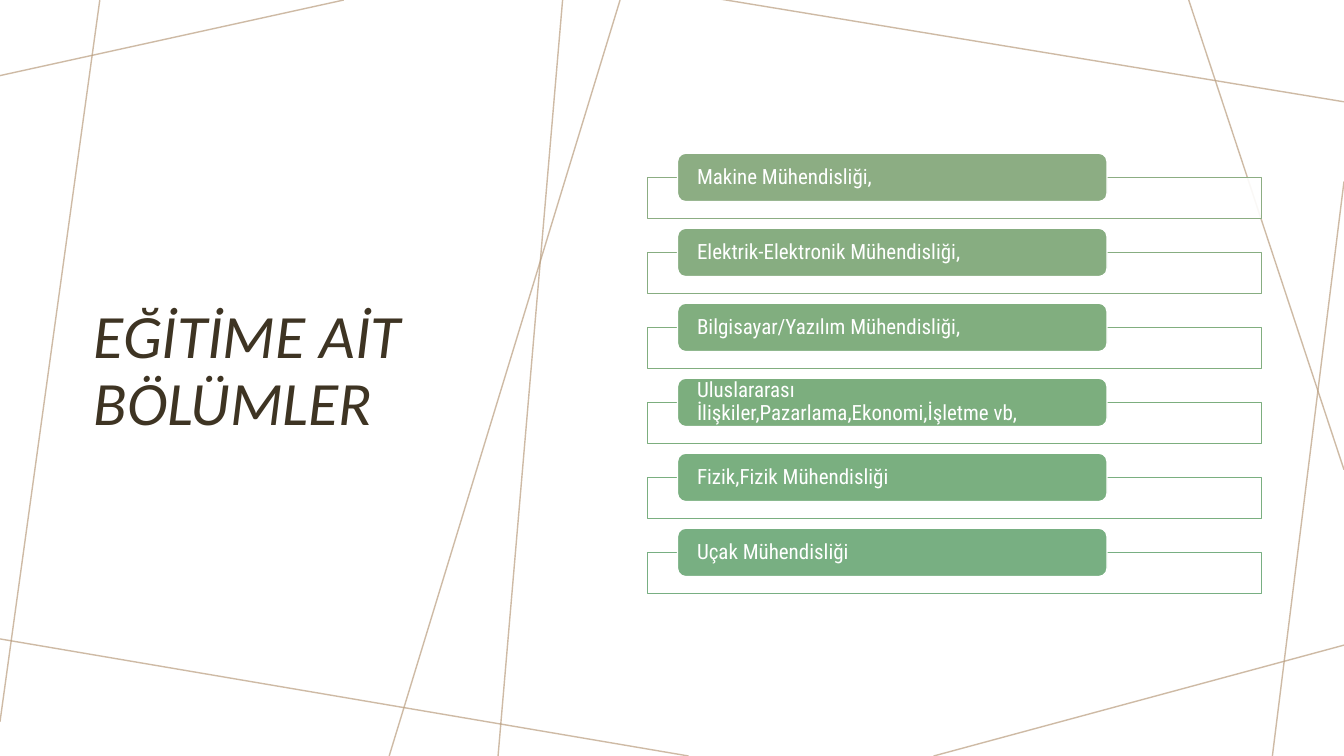
from dataclasses import dataclass

from lxml.etree import SubElement
from pptx import Presentation
from pptx.dml.color import RGBColor
from pptx.enum.shapes import MSO_CONNECTOR, MSO_SHAPE
from pptx.enum.text import MSO_ANCHOR, MSO_AUTO_SIZE, PP_ALIGN
from pptx.oxml.ns import qn
from pptx.util import Inches, Pt

TITLE = "EĞİTİME AİT BÖLÜMLER"
DEPARTMENTS = [
    ("Makine Mühendisliği,", "8CAD83"),
    ("Elektrik-Elektronik Mühendisliği,", "87AD81"),
    ("Bilgisayar/Yazılım Mühendisliği,", "81AE7F"),
    ("Uluslararası İlişkiler,Pazarlama,Ekonomi,İşletme vb,", "7CAE7E"),
    ("Fizik,Fizik Mühendisliği", "7AAF80"),
    ("Uçak Mühendisliği", "78AF82"),
]
BACKGROUND_LINES = [
    ((3.41, 0), (0, 0.75)),
    ((0.99, 0), (0, 7.16)),
    ((6.83, 7.5), (-0.05, 6.33)),
    ((13.33, 6.4), (9.26, 7.5)),
    ((13.33, 1.8), (12.62, 7.5)),
    ((13.33, 4.66), (11.79, 0)),
    ((13.33, 1.01), (7.14, -0.01)),
    ((6.15, 0), (3.86, 7.5)),
    ((5.58, 0), (4.94, 7.5)),
]


@dataclass(frozen=True)
class Theme:
    white: str = "FFFFFF"
    title_color: str = "3E3423"
    line_color: str = "BA9E7F"
    title_font: str = "Calibri"
    label_font: str = "Roboto Condensed"
    title_size: int = 44
    label_size: int = 15
    line_width: int = 1
    line_opacity: int = 70
    frame_opacity: int = 90


THEME = Theme()
FIRST_PILL_TOP = 1.52
ROW_PITCH = 0.744
FRAME_DROP = 0.24


def rgb(code):
    return RGBColor.from_string(code)


def set_opacity(parent, percent):
    color = next(parent.iter(qn("a:srgbClr")))
    SubElement(color, qn("a:alpha"), val=str(percent * 1000))


def add_background_line(slide, start, end):
    points = [Inches(value) for value in (*start, *end)]
    line = slide.shapes.add_connector(MSO_CONNECTOR.STRAIGHT, *points)
    line.line.color.rgb = rgb(THEME.line_color)
    line.line.width = Pt(THEME.line_width)
    properties = line._element.spPr
    set_opacity(properties, THEME.line_opacity)
    SubElement(properties, qn("a:effectLst"))


def add_box(slide, preset, bounds, fill, outline):
    box = slide.shapes.add_shape(preset, *[Inches(value) for value in bounds])
    box.shadow.inherit = False
    box.fill.solid()
    box.fill.fore_color.rgb = rgb(fill)
    box.line.color.rgb = rgb(outline)
    box.line.width = Pt(THEME.line_width)
    return box


def format_text(frame, text, font_name, size, color):
    frame.text = text
    frame.word_wrap = True
    frame.auto_size = MSO_AUTO_SIZE.NONE
    frame.vertical_anchor = MSO_ANCHOR.MIDDLE
    paragraph = frame.paragraphs[0]
    paragraph.alignment = PP_ALIGN.LEFT
    paragraph.line_spacing = 0.9
    paragraph.font.name = font_name
    paragraph.font.size = Pt(size)
    paragraph.font.color.rgb = rgb(color)
    return paragraph


def add_title(slide):
    title = slide.shapes.title
    title.left, title.top = Inches(0.83), Inches(0.99)
    title.width, title.height = Inches(4.07), Inches(5.4)
    heading = format_text(title.text_frame, TITLE, THEME.title_font,
                          THEME.title_size, THEME.title_color)
    heading.font.italic = True


def add_department(slide, row, name, color):
    top = FIRST_PILL_TOP + row * ROW_PITCH
    frame = add_box(slide, MSO_SHAPE.RECTANGLE,
                    (6.42, top + FRAME_DROP, 6.09, 0.41), THEME.white, color)
    set_opacity(frame._element.spPr, THEME.frame_opacity)
    pill = add_box(slide, MSO_SHAPE.ROUNDED_RECTANGLE,
                   (6.72, top, 4.26, 0.48), color, THEME.white)
    label = pill.text_frame
    label.margin_left = label.margin_right = Inches(0.17)
    label.margin_top = label.margin_bottom = 0
    format_text(label, name, THEME.label_font, THEME.label_size, THEME.white)


def main():
    presentation = Presentation()
    presentation.slide_width = Inches(13.33)
    presentation.slide_height = Inches(7.5)
    slide = presentation.slides.add_slide(presentation.slide_layouts[5])
    for start, end in BACKGROUND_LINES:
        add_background_line(slide, start, end)
    add_title(slide)
    for row, (name, color) in enumerate(DEPARTMENTS):
        add_department(slide, row, name, color)
    presentation.save("out.pptx")


if __name__ == "__main__":
    main()
